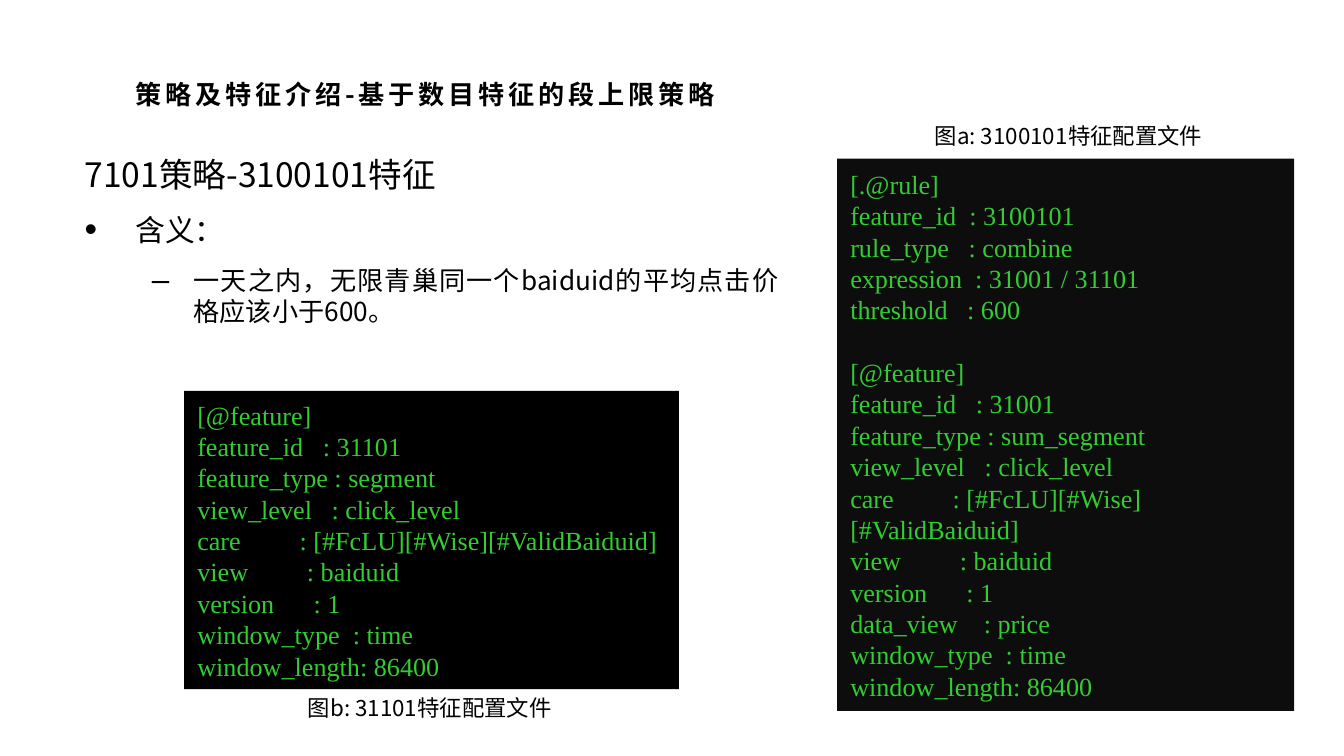
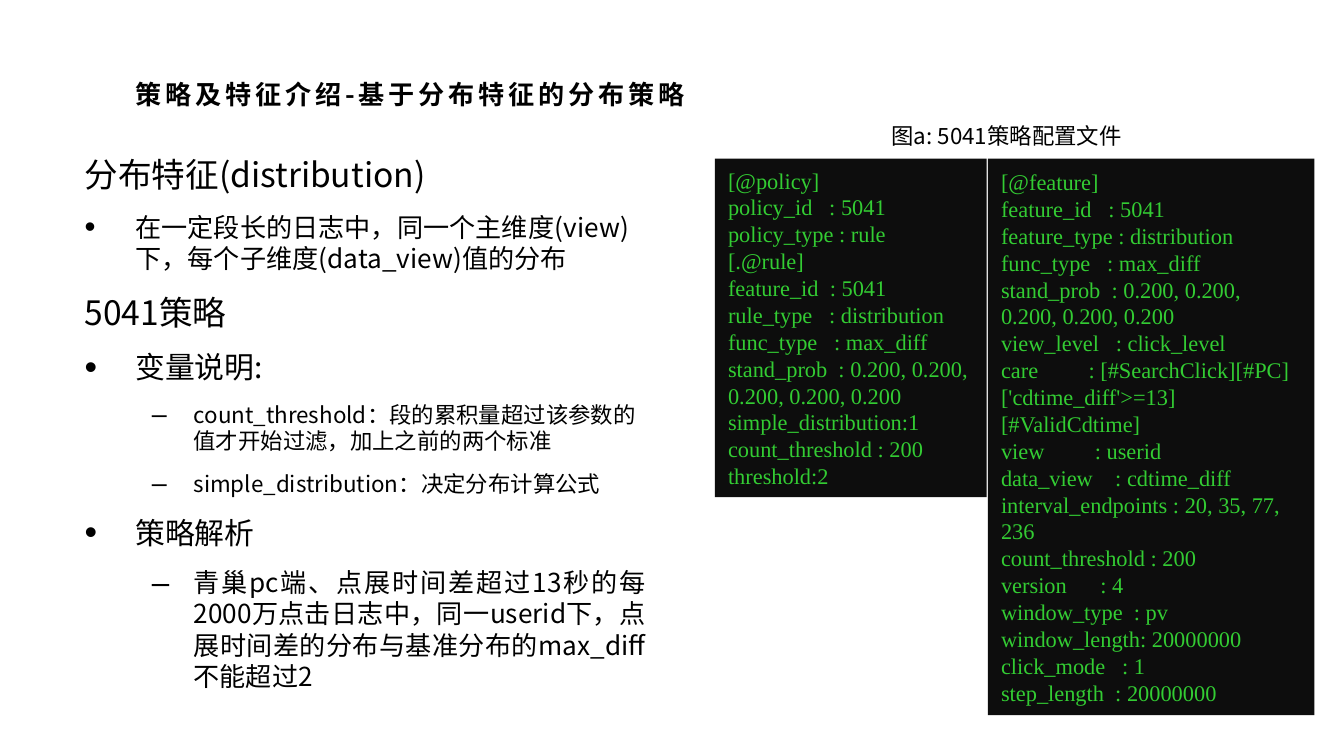
import pptx
import pptx.dml.color
import pptx.enum.shapes
import pptx.enum.text
import pptx.oxml.ns
import pptx.util
from lxml import etree

Cm, Pt = pptx.util.Cm, pptx.util.Pt
Align = pptx.enum.text.PP_ALIGN
Anchor = pptx.enum.text.MSO_ANCHOR
qn = pptx.oxml.ns.qn

SANS, SERIF = "Noto Sans CJK SC", "Times New Roman"
BLACK, DARK, GREEN = "000000", "0D0D0D", "33CC33"
TOP = 3.0  # upper edge of the code panels

# mark, left margin and hanging indent in cm
HEAD = (None, 0, 0)
DOT = ("•", 0.96, -0.96)
DASH = ("–", 2.06, -0.79)

RULE = """[.@rule]
feature_id  : 3100101
rule_type   : combine
expression  : 31001 / 31101
threshold   : 600

[@feature]
feature_id   : 31001
feature_type : sum_segment
view_level   : click_level
care         : [#FcLU][#Wise][#ValidBaiduid]
view         : baiduid
version      : 1
data_view    : price
window_type  : time
window_length: 86400"""

SEGMENT = """[@feature]
feature_id   : 31101
feature_type : segment
view_level   : click_level
care         : [#FcLU][#Wise][#ValidBaiduid]
view         : baiduid
version      : 1
window_type  : time
window_length: 86400"""

SPREAD = """[@feature]
feature_id   : 5041
feature_type : distribution
func_type   : max_diff
stand_prob  : 0.200, 0.200, 0.200, 0.200, 0.200
view_level   : click_level
care         : [#SearchClick][#PC]['cdtime_diff'>=13][#ValidCdtime]
view         : userid
data_view    : cdtime_diff
interval_endpoints : 20, 35, 77, 236
count_threshold : 200
version      : 4
window_type  : pv
window_length: 20000000
click_mode   : 1
step_length  : 20000000"""

POLICY = """[@policy]
policy_id   : 5041
policy_type : rule
[.@rule]
feature_id  : 5041
rule_type   : distribution
func_type   : max_diff
stand_prob  : 0.200, 0.200, 0.200, 0.200, 0.200
simple_distribution:1
count_threshold : 200
threshold:2"""


def color(text):
    return pptx.dml.color.RGBColor.from_string(text)


class Deck:
    def __init__(self):
        self.file = pptx.Presentation()
        self.file.slide_width = Cm(25.4)
        self.file.slide_height = Cm(14.29)
        self.slide = None

    def style(self, para, size, face=SANS, tint=BLACK, bold=False):
        """Set the font of a paragraph for Latin and East Asian text."""
        font = para.font
        font.size, font.bold, font.name = Pt(size), bold, face
        font.color.rgb = color(tint)
        props = para._p.pPr.find(qn("a:defRPr"))
        etree.SubElement(props, qn("a:ea"), typeface=face)
        return props

    def paras(self, frame, count):
        frame.word_wrap = True
        while len(frame.paragraphs) < count:
            frame.add_paragraph()
        return frame.paragraphs

    def box(self, left, top, width, height):
        shape = self.slide.shapes.add_textbox(
            Cm(left), Cm(top), Cm(width), Cm(height))
        return shape.text_frame

    def title(self, text, width):
        """Start a slide and place its title."""
        self.slide = self.file.slides.add_slide(self.file.slide_layouts[5])
        shape = self.slide.shapes.title
        shape.left, shape.top = Cm(2.31), Cm(1.12)
        shape.width, shape.height = Cm(width), Cm(1.09)
        frame = shape.text_frame
        frame.auto_size = pptx.enum.text.MSO_AUTO_SIZE.NONE
        frame.vertical_anchor = Anchor.TOP
        para = self.paras(frame, 1)[0]
        para.text = text
        para.alignment = Align.LEFT
        para.line_spacing = 1.4
        self.style(para, 14, bold=True).set("spc", "200")

    def body(self, width, items):
        """Write items of list kind, size, text and, if set, alignment."""
        frame = self.box(1.35, 2.79, width, 10.87)
        rows = zip(self.paras(frame, len(items)), items)
        for i, (para, (kind, size, text, *align)) in enumerate(rows):
            para.text = text
            para.alignment = align[0] if align else Align.LEFT
            if i:
                para.space_before = Pt(size * 0.2)
            para.space_after = Pt(6)
            self.bullet(para, *kind)
            self.style(para, size)

    def bullet(self, para, mark, left, indent):
        if not mark:
            return
        para.level = 1 if mark == "–" else 0
        props = para._p.get_or_add_pPr()
        props.set("marL", str(Cm(left)))
        props.set("indent", str(Cm(indent)))
        etree.SubElement(props, qn("a:buSzPct"), val="120000")
        etree.SubElement(props, qn("a:buFont"), typeface="Arial")
        etree.SubElement(props, qn("a:buChar"), char=mark)

    def panel(self, left, top, width, height, code, size, fill=DARK):
        """Draw a dark panel of code; an empty line becomes a gap."""
        shape = self.slide.shapes.add_shape(
            pptx.enum.shapes.MSO_SHAPE.RECTANGLE,
            Cm(left), Cm(top), Cm(width), Cm(height))
        shape.shadow.inherit = False
        shape.fill.solid()
        shape.fill.fore_color.rgb = color(fill)
        shape.line.fill.background()
        frame = shape.text_frame
        frame.vertical_anchor = Anchor.MIDDLE
        lines = code.split("\n")
        shown = [i for i, line in enumerate(lines) if line]
        for i, para in zip(shown, self.paras(frame, len(shown))):
            para.text = lines[i]
            para.alignment = Align.LEFT
            if i and not lines[i - 1]:
                para.space_before = Pt(size * 1.2)
            self.style(para, size, SERIF, GREEN)

    def label(self, left, top, text):
        para = self.paras(self.box(left, top, 8.53, 0.76), 1)[0]
        para.text = text
        para.alignment = Align.CENTER
        self.style(para, 12)


def main():
    deck = Deck()

    deck.title("策略及特征介绍-基于数目特征的段上限策略", 11.63)
    deck.body(13.61, [
        (HEAD, 18, "7101策略-3100101特征"),
        (DOT, 16, "含义："),
        (DASH, 14, "一天之内，无限青巢同一个baiduid的平均点击价格应该小于600。",
         Align.JUSTIFY),
    ])
    deck.panel(15.82, TOP, 8.64, 10.44, RULE, 14)
    deck.label(15.93, 2.18, "图a: 3100101特征配置文件")
    deck.panel(3.48, 7.39, 9.35, 5.64, SEGMENT, 14, BLACK)
    deck.label(3.86, 13, "图b: 31101特征配置文件")

    deck.title("策略及特征介绍-基于分布特征的分布策略", 11.05)
    deck.body(11.1, [
        (HEAD, 18, "分布特征(distribution)"),
        (DOT, 14, "在一定段长的日志中，同一个主维度(view)下，"
                  "每个子维度(data_view)值的分布"),
        (HEAD, 18, "5041策略"),
        (DOT, 16, "变量说明:"),
        (DASH, 12, "count_threshold：段的累积量超过该参数的值才开始过滤，"
                   "加上之前的两个标准"),
        (DASH, 12, "simple_distribution：决定分布计算公式"),
        (DOT, 16, "策略解析", Align.JUSTIFY),
        (DASH, 14, "青巢pc端、点展时间差超过13秒的每2000万点击日志中，"
                   "同一userid下，点展时间差的分布与基准分布的max_diff不能超过2",
         Align.JUSTIFY),
    ])
    deck.panel(18.67, TOP, 6.17, 10.52, SPREAD, 12)
    deck.label(14.76, 2.18, "图a: 5041策略配置文件")
    deck.panel(13.51, TOP, 5.14, 6.4, POLICY, 12)

    deck.file.save("out.pptx")


if __name__ == "__main__":
    main()
